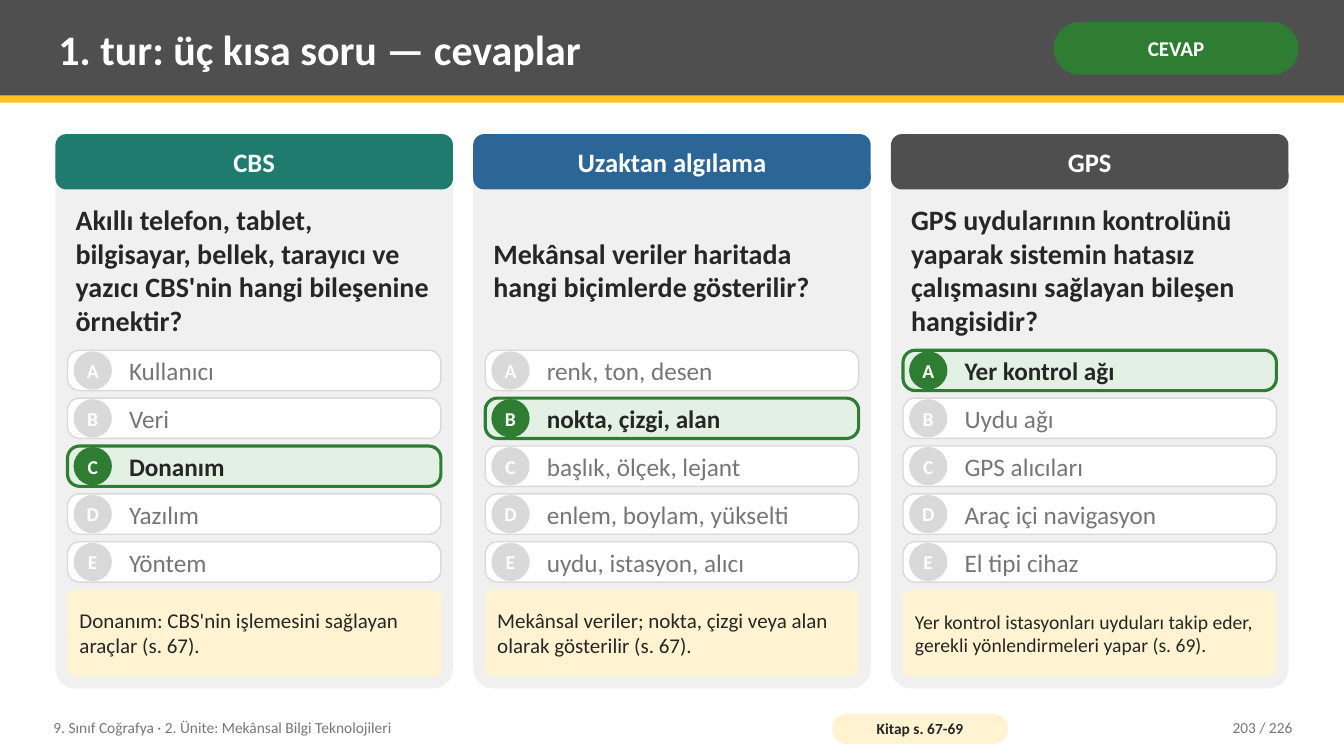
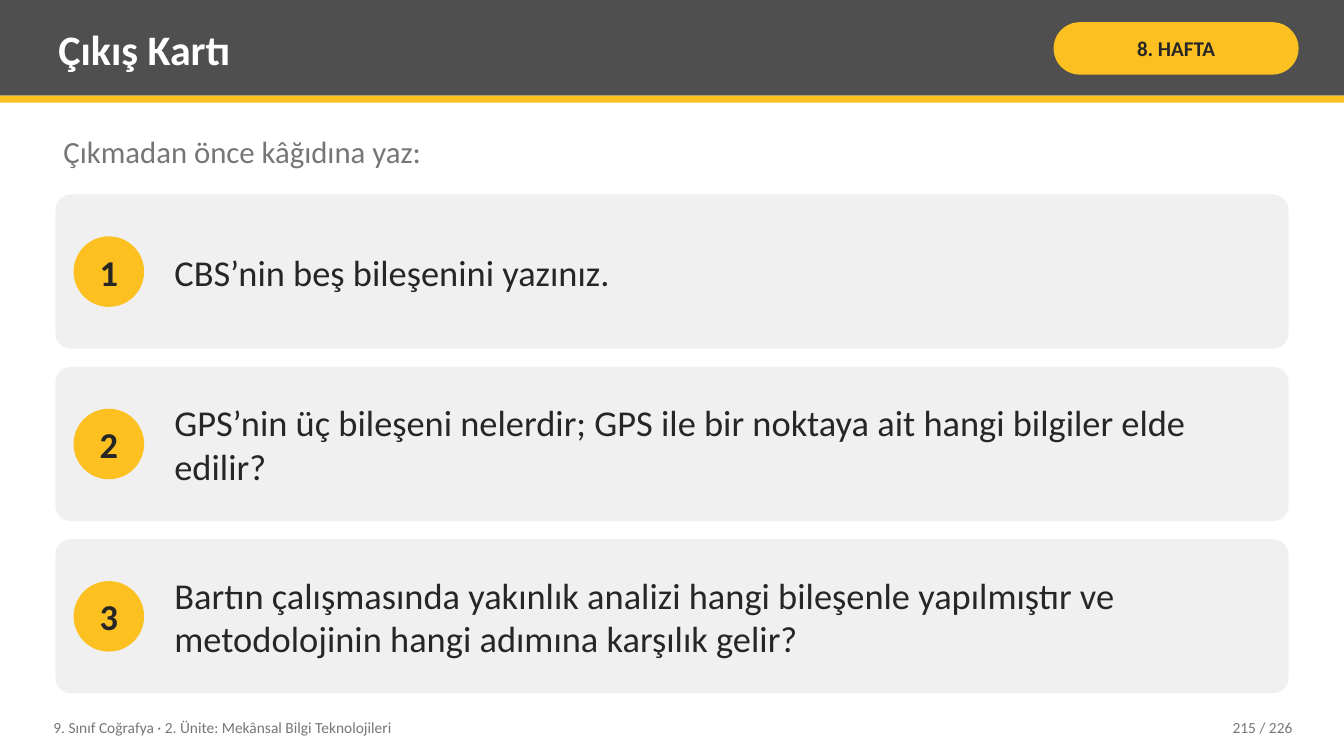
from collections import namedtuple

from pptx import Presentation
from pptx.dml.color import RGBColor
from pptx.enum.shapes import MSO_SHAPE
from pptx.enum.text import MSO_ANCHOR, PP_ALIGN
from pptx.util import Inches, Pt

Box = namedtuple("Box", "left top width height")
Question = namedtuple("Question", "topic color prompt options answer note note_size")

COLORS = {
    "white": "FFFFFF",
    "charcoal": "4F4F4F",
    "yellow": "FCC021",
    "cream": "FFF3D1",
    "panel": "F0F0F0",
    "border": "D9D9D9",
    "ink": "262626",
    "muted": "767676",
    "green": "2E7D32",
    "mint": "E3F1E4",
    "teal": "1E7B6E",
    "blue": "2C6696",
}
FONT = "Calibri"
PAGE_WIDTH, PAGE_HEIGHT = 13.33, 7.5
MARGIN = 0.55
CONTENT_WIDTH = 12.23
TEXT_INSETS = (0.08, 0.04)
COURSE = "9. Sınıf Coğrafya · 2. Ünite: Mekânsal Bilgi Teknolojileri"
PAGE_TOTAL = 226

QUESTIONS = [
    Question(
        "CBS", "teal",
        "Akıllı telefon, tablet, bilgisayar, bellek, tarayıcı ve yazıcı CBS'nin hangi bileşenine örnektir?",
        ["Kullanıcı", "Veri", "Donanım", "Yazılım", "Yöntem"], "C",
        "Donanım: CBS'nin işlemesini sağlayan araçlar (s. 67).", 15,
    ),
    Question(
        "Uzaktan algılama", "blue",
        "Mekânsal veriler haritada hangi biçimlerde gösterilir?",
        ["renk, ton, desen", "nokta, çizgi, alan", "başlık, ölçek, lejant",
         "enlem, boylam, yükselti", "uydu, istasyon, alıcı"], "B",
        "Mekânsal veriler; nokta, çizgi veya alan olarak gösterilir (s. 67).", 15,
    ),
    Question(
        "GPS", "charcoal",
        "GPS uydularının kontrolünü yaparak sistemin hatasız çalışmasını sağlayan bileşen hangisidir?",
        ["Yer kontrol ağı", "Uydu ağı", "GPS alıcıları", "Araç içi navigasyon", "El tipi cihaz"], "A",
        "Yer kontrol istasyonları uyduları takip eder, gerekli yönlendirmeleri yapar (s. 69).", 14,
    ),
]
EXIT_PROMPTS = [
    "CBS’nin beş bileşenini yazınız.",
    "GPS’nin üç bileşeni nelerdir; GPS ile bir noktaya ait hangi bilgiler elde edilir?",
    "Bartın çalışmasında yakınlık analizi hangi bileşenle yapılmıştır ve metodolojinin hangi adımına karşılık gelir?",
]


def rgb(name):
    return RGBColor.from_string(COLORS[name])


def lengths(box):
    return [Inches(value) for value in box]


def write(shape, text, size, color, bold=False, align=PP_ALIGN.LEFT,
          insets=TEXT_INSETS, anchor=MSO_ANCHOR.MIDDLE, wrap=True):
    frame = shape.text_frame
    frame.word_wrap = wrap
    frame.vertical_anchor = anchor
    frame.margin_left = frame.margin_right = Inches(insets[0])
    frame.margin_top = frame.margin_bottom = Inches(insets[1])
    para = frame.paragraphs[0]
    para.text = text
    para.alignment = align
    para.font.name = FONT
    para.font.size = Pt(size)
    para.font.bold = bold
    para.font.color.rgb = rgb(color)


def add_text(page, box, text, size, color, **style):
    write(page.shapes.add_textbox(*lengths(box)), text, size, color, **style)


def add_block(page, box, fill, kind=MSO_SHAPE.RECTANGLE, line=None, line_width=1):
    shape = page.shapes.add_shape(kind, *lengths(box))
    shape.shadow.inherit = False
    shape.fill.solid()
    shape.fill.fore_color.rgb = rgb(fill)
    if line:
        shape.line.color.rgb = rgb(line)
        shape.line.width = Pt(line_width)
    else:
        shape.line.fill.background()
    return shape


def add_rounded(page, box, fill, radius, **outline):
    shape = add_block(page, box, fill, MSO_SHAPE.ROUNDED_RECTANGLE, **outline)
    shape.adjustments[0] = radius
    return shape


def add_disc(page, left, middle, diameter, label, size, fill, color):
    box = Box(left, middle - diameter / 2, diameter, diameter)
    disc = add_block(page, box, fill, MSO_SHAPE.OVAL)
    write(disc, label, size, color, bold=True, align=PP_ALIGN.CENTER, insets=(0, 0), wrap=False)


def add_header(page, title, tag, tag_fill, tag_color):
    add_block(page, Box(0, 0, PAGE_WIDTH, 0.95), "charcoal")
    add_block(page, Box(0, 0.95, PAGE_WIDTH, 0.07), "yellow")
    add_text(page, Box(0.5, 0.07, 9.75, 0.82), title, 30, "white", bold=True)
    pill = add_rounded(page, Box(10.45, 0.22, 2.43, 0.52), tag_fill, 0.5)
    write(pill, tag, 15, tag_color, bold=True, align=PP_ALIGN.CENTER, insets=(0.05, 0.02))


def add_footer(page, number, book_pages=None):
    add_text(page, Box(0.45, 7.04, 7.6, 0.36), COURSE, 11, "muted")
    if book_pages:
        pill = add_rounded(page, Box(8.25, 7.08, 1.75, 0.3), "cream", 0.5)
        write(pill, book_pages, 11, "ink", bold=True, align=PP_ALIGN.CENTER, insets=(0.04, 0))
    add_text(page, Box(11.3, 7.04, 1.6, 0.36), f"{number} / {PAGE_TOTAL}", 11, "muted",
             align=PP_ALIGN.RIGHT)


def add_option(page, box, letter, text, correct):
    if correct:
        fill, accent, color, line_width = "mint", "green", "ink", 2.25
    else:
        fill, accent, color, line_width = "white", "border", "muted", 1
    add_rounded(page, box, fill, 0.3, line=accent, line_width=line_width)
    add_disc(page, box.left + 0.06, box.top + box.height / 2, 0.38, letter, 14, accent, "white")
    label = Box(box.left + 0.53, box.top, box.width - 0.61, box.height)
    add_text(page, label, text, 18, color, bold=correct)


def add_question_column(page, box, question):
    pad, option_height, option_pitch, note_height = 0.12, 0.4, 0.475, 0.86
    left, width = box.left + pad, box.width - 2 * pad
    add_rounded(page, box, "panel", 0.05)
    heading = add_rounded(page, box._replace(height=0.55), question.color, 0.2)
    write(heading, question.topic, 19, "white", bold=True, align=PP_ALIGN.CENTER, insets=(0.14, 0.08))
    add_text(page, Box(left, box.top + 0.62, width, 1.45), question.prompt, 20, "ink", bold=True)
    for index, (letter, text) in enumerate(zip("ABCDE", question.options)):
        row = Box(left, box.top + 2.145 + index * option_pitch, width, option_height)
        add_option(page, row, letter, text, letter == question.answer)
    note_top = box.top + box.height - pad - note_height
    note = add_rounded(page, Box(left, note_top, width, note_height), "cream", 0.08)
    write(note, question.note, question.note_size, "ink", insets=(0.1, 0.08))


def add_prompt_card(page, box, number, text):
    add_rounded(page, box, "panel", 0.1)
    add_disc(page, box.left + 0.18, box.top + box.height / 2, 0.7, str(number), 26, "yellow", "ink")
    add_text(page, Box(box.left + 1.1, box.top, box.width - 1.3, box.height), text, 26, "ink")


def add_blank_page(deck):
    return deck.slides.add_slide(deck.slide_layouts[6])


def build_answers(deck):
    page = add_blank_page(deck)
    add_header(page, "1. tur: üç kısa soru — cevaplar", "CEVAP", "green", "white")
    gap = 0.2
    width = (CONTENT_WIDTH - gap * (len(QUESTIONS) - 1)) / len(QUESTIONS)
    for index, question in enumerate(QUESTIONS):
        column = Box(MARGIN + index * (width + gap), 1.33, width, 5.5)
        add_question_column(page, column, question)
    add_footer(page, 203, "Kitap s. 67-69")


def build_exit_card(deck):
    page = add_blank_page(deck)
    add_header(page, "Çıkış Kartı", "8. HAFTA", "yellow", "ink")
    add_text(page, Box(MARGIN, 1.28, CONTENT_WIDTH, 0.55), "Çıkmadan önce kâğıdına yaz:", 22,
             "muted", anchor=MSO_ANCHOR.TOP)
    height, gap = 1.53, 0.18
    for index, text in enumerate(EXIT_PROMPTS):
        card = Box(MARGIN, 1.93 + index * (height + gap), CONTENT_WIDTH, height)
        add_prompt_card(page, card, index + 1, text)
    add_footer(page, 215)


def main():
    deck = Presentation()
    deck.slide_width = Inches(PAGE_WIDTH)
    deck.slide_height = Inches(PAGE_HEIGHT)
    build_answers(deck)
    build_exit_card(deck)
    deck.save("out.pptx")


if __name__ == "__main__":
    main()
